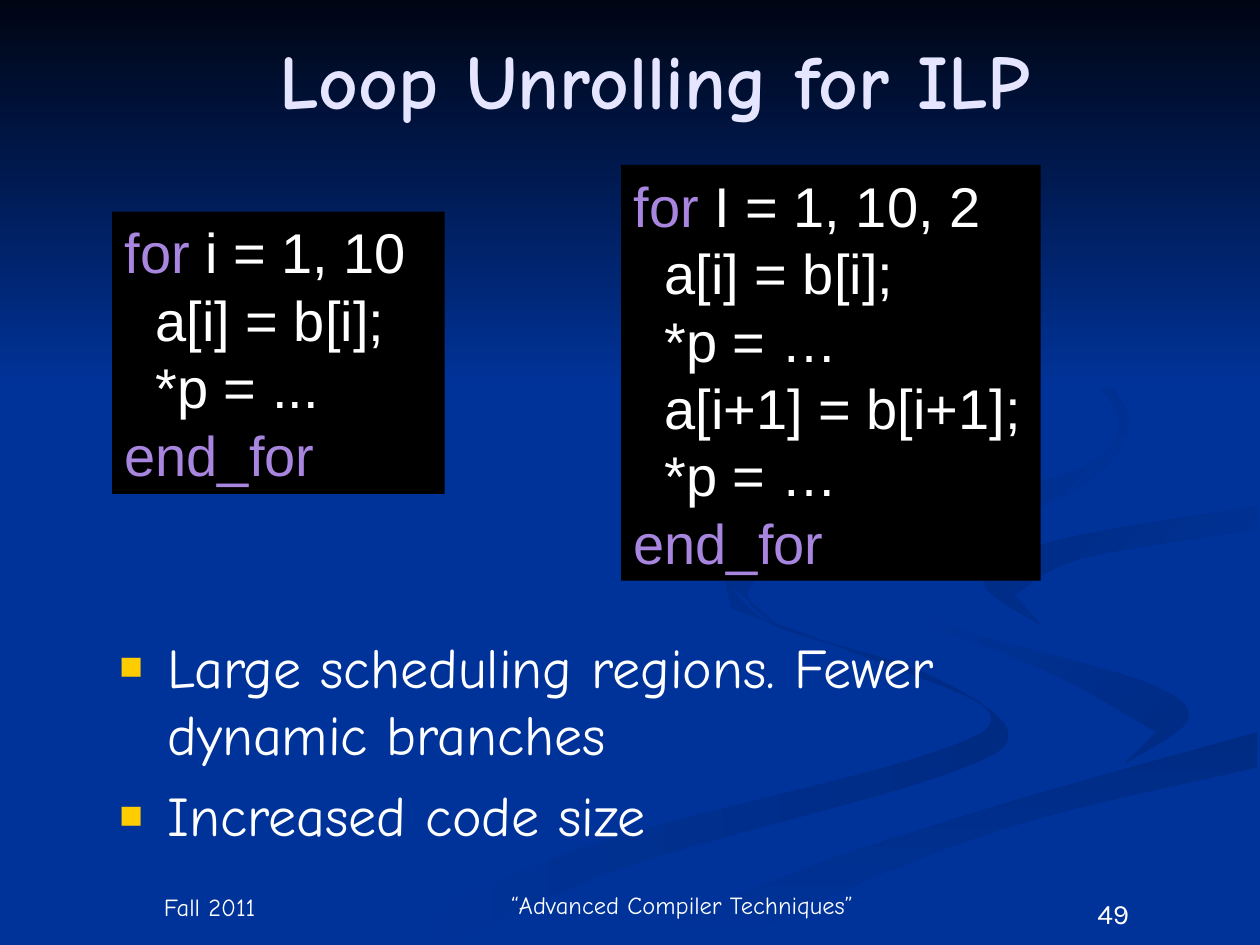
"""Build the slide "Loop Unrolling for ILP"."""
import pptx
import pptx.dml.color
import pptx.enum.text
import pptx.oxml
import pptx.oxml.ns
import pptx.util
from pptx.util import Inches

RGBColor = pptx.dml.color.RGBColor
Align = pptx.enum.text.PP_ALIGN
Anchor = pptx.enum.text.MSO_ANCHOR

BLUE = RGBColor(0x00, 0x33, 0x99)
DEEP_BLUE = RGBColor(0x00, 0x2B, 0x83)
NIGHT = RGBColor(0x00, 0x05, 0x14)
BLACK = RGBColor(0x00, 0x00, 0x00)
WHITE = RGBColor(0xFF, 0xFF, 0xFF)
LAVENDER = RGBColor(0xE5, 0xE5, 0xFF)
PURPLE = RGBColor(0xA8, 0x86, 0xE0)
GOLD = "FFCC00"
HAND_FONT, CODE_FONT, NUMBER_FONT = "Comic Neue", "Arial", "Karla"

TITLE = ("Loop Unrolling for ILP", (0.83, 0, 8.74, 1.25))
KEYWORDS = ("for", "end_for")
LOOPS = [
    ((0.89, 1.68, 2.64, 2.24),
     ["for i = 1, 10", "  a[i] = b[i];", "  *p = ...", "end_for"]),
    ((4.93, 1.31, 3.33, 3.3),
     ["for I = 1, 10, 2", "  a[i] = b[i];", "  *p = …",
      "  a[i+1] = b[i+1];", "  *p = …", "end_for"]),
]
EFFECTS = ["Large scheduling regions. Fewer dynamic branches",
           "Increased code size"]
EFFECTS_BOX = (0.85, 4.97, 8.16, 1.18)
FOOTERS = [
    ("49", (8, 7.07, 1.67, 0.4), 16, NUMBER_FONT, Anchor.TOP),
    ("Fall 2011", (0.5, 7, 2.33, 0.36), 14, HAND_FONT, Anchor.BOTTOM),
    ("“Advanced Compiler Techniques”", (3.83, 7, 3.17, 0.35), 14, HAND_FONT,
     Anchor.BOTTOM),
]

RIBBONS = [
    (BLUE, DEEP_BLUE, 0,
     [(5.75, 4.59), (6.14, 4.96), (7.31, 5.33), (8, 5.81), (7.4, 6.18),
      (4.99, 6.87), (3.61, 7.49)],
     [(3, 7.49), (4.58, 6.74), (7.27, 6.02), (7.86, 5.66), (6.97, 5.25),
      (5.81, 4.83)]),
    (BLUE, DEEP_BLUE, 45,
     [(7.24, 4.64), (7.58, 4.98), (9.05, 5.4), (9.43, 5.7), (8.94, 6.05)],
     [(9.18, 5.81), (8.38, 5.36), (7.46, 5)]),
    (DEEP_BLUE, BLUE, 90,
     [(5.03, 7.49), (6.3, 6.93), (7.97, 6.38), (9.98, 5.81)],
     [(9.98, 6.09), (7.85, 6.61), (5.71, 7.49)]),
    (DEEP_BLUE, BLUE, 45,
     [(8.26, 4.96), (7.81, 4.62), (8.35, 4.3), (9.98, 4.02)],
     [(9.98, 4.2), (8.59, 4.43), (8.05, 4.72)]),
    (DEEP_BLUE, BLUE, 45,
     [(7.62, 2.33), (8.64, 2.91), (8.94, 3.44), (8.25, 4.02), (6.49, 4.36),
      (5.93, 4.7), (6.22, 5)],
     [(5.77, 4.62), (6.49, 4.2), (8.42, 3.78), (8.89, 3.35), (8.46, 2.79)]),
    (NIGHT, BLUE, 90, [(0, 0), (10, 0)], [(10, 3.08), (0, 3.08)]),
]
STEPS = 6


def smooth_edge(knots):
    """Return points on a Catmull-Rom curve through the knots."""
    padded = [knots[0], *knots, knots[-1]]
    curve = []
    for a, b, c, d in zip(padded, padded[1:], padded[2:], padded[3:]):
        for step in range(STEPS):
            t = step / STEPS
            curve.append(tuple(
                q + t * (r - p + t * (2 * p - 5 * q + 4 * r - s
                                      + t * (3 * q - p - 3 * r + s))) / 2
                for p, q, r, s in zip(a, b, c, d)))
    return curve + [knots[-1]]


def add_ribbon(slide, first, last, angle, outer, inner):
    outline = smooth_edge(outer) + smooth_edge(inner)
    points = [(Inches(x), Inches(y)) for x, y in outline]
    builder = slide.shapes.build_freeform(*points[0])
    builder.add_line_segments(points[1:], close=True)
    ribbon = builder.convert_to_shape()
    ribbon.shadow.inherit = False
    ribbon.line.fill.background()
    ribbon.fill.gradient()
    ribbon.fill.gradient_angle = (360 - angle) % 360
    for stop, color in zip(ribbon.fill.gradient_stops, (first, last)):
        stop.color.rgb = color


def add_box(slide, box, anchor=Anchor.TOP):
    area = slide.shapes.add_textbox(*map(Inches, box))
    area.text_frame.word_wrap = True
    area.text_frame.vertical_anchor = anchor
    return area


def set_font(font, name, size, color):
    font.name, font.size = name, pptx.util.Pt(size)
    font.color.rgb = color


def paragraphs_for(frame, lines):
    for index, line in enumerate(lines):
        yield line, frame.paragraphs[0] if index == 0 else frame.add_paragraph()


def add_loop(slide, box, lines):
    panel = add_box(slide, box)
    panel.fill.solid()
    panel.fill.fore_color.rgb = BLACK
    for line, paragraph in paragraphs_for(panel.text_frame, lines):
        paragraph.line_spacing = pptx.util.Pt(38.5)
        set_font(paragraph.font, CODE_FONT, 32, WHITE)
        word, space, rest = line.partition(" ")
        pieces = [word, space + rest] if word in KEYWORDS else [line]
        for piece in filter(None, pieces):
            run = paragraph.add_run()
            run.text = piece
            if piece in KEYWORDS:
                run.font.color.rgb = PURPLE


def add_bullet(paragraph):
    properties = paragraph._p.get_or_add_pPr()
    properties.set("marL", str(Inches(0.38)))
    properties.set("indent", str(Inches(-0.38)))
    namespace = pptx.oxml.ns.nsdecls("a")
    for element in (f'<a:buClr {namespace}><a:srgbClr val="{GOLD}"/></a:buClr>',
                    f'<a:buSzPct {namespace} val="70000"/>',
                    f'<a:buFont {namespace} typeface="{CODE_FONT}"/>',
                    f'<a:buChar {namespace} char="■"/>'):
        properties.append(pptx.oxml.parse_xml(element))


def main():
    deck = pptx.Presentation()
    deck.slide_width, deck.slide_height = Inches(10), Inches(7.5)
    slide = deck.slides.add_slide(deck.slide_layouts[5])
    slide.background.fill.solid()
    slide.background.fill.fore_color.rgb = BLUE
    for ribbon in RIBBONS:
        add_ribbon(slide, *ribbon)

    for text, box, size, font, anchor in FOOTERS:
        paragraph = add_box(slide, box, anchor).text_frame.paragraphs[0]
        paragraph.text, paragraph.alignment = text, Align.CENTER
        set_font(paragraph.font, font, size, WHITE)

    title = slide.shapes.title
    slide.shapes._spTree.append(title._element)
    title.text, box = TITLE
    title.left, title.top, title.width, title.height = map(Inches, box)
    title.text_frame.vertical_anchor = Anchor.MIDDLE
    heading = title.text_frame.paragraphs[0]
    heading.alignment = Align.CENTER
    set_font(heading.font, HAND_FONT, 44, LAVENDER)
    heading.font.bold = True

    for box, lines in LOOPS:
        add_loop(slide, box, lines)

    effects = add_box(slide, EFFECTS_BOX).text_frame
    for effect, paragraph in paragraphs_for(effects, EFFECTS):
        paragraph.text = effect
        if effect != EFFECTS[0]:
            paragraph.space_before = pptx.util.Pt(8)
        add_bullet(paragraph)
        set_font(paragraph.font, HAND_FONT, 32, WHITE)

    deck.save("out.pptx")


if __name__ == "__main__":
    main()
